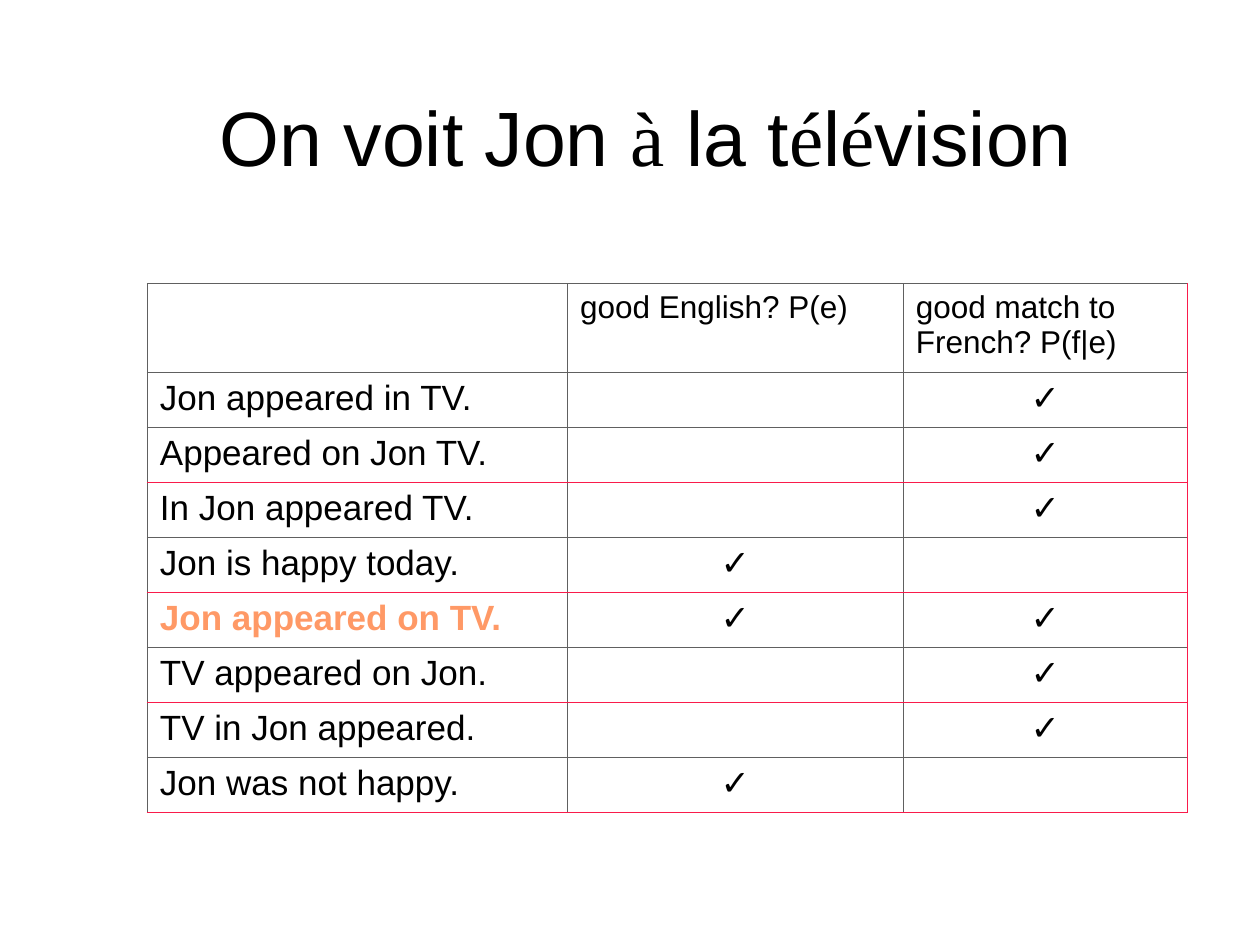
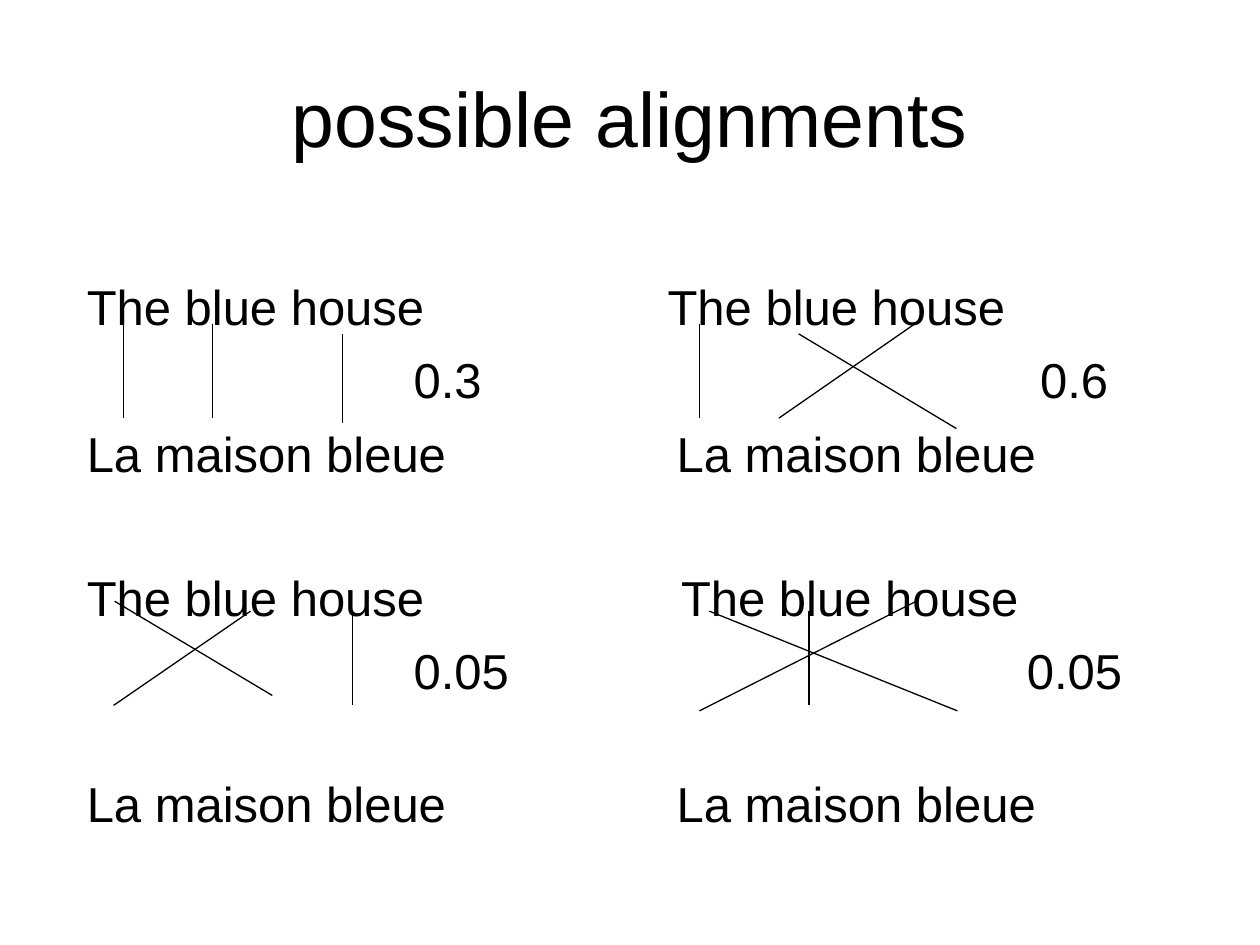
"""Build two slides on translation: candidate sentences and word alignments."""
from lxml import etree
from pptx import Presentation
from pptx.dml.color import RGBColor
from pptx.enum.shapes import MSO_CONNECTOR
from pptx.enum.text import MSO_ANCHOR, PP_ALIGN
from pptx.oxml.ns import qn
from pptx.util import Cm, Pt

LINE = MSO_CONNECTOR.STRAIGHT
MIDDLE = MSO_ANCHOR.MIDDLE
CENTER = PP_ALIGN.CENTER
LEFT = PP_ALIGN.LEFT
BLACK = RGBColor(0x00, 0x00, 0x00)
GREY = RGBColor(0x60, 0x60, 0x60)
RED = RGBColor(0xF9, 0x1B, 0x4B)
ORANGE = RGBColor(0xFF, 0x99, 0x66)
SANS = "Arial"
SERIF = "Times New Roman"


def add_run(para, text, size, font=SANS, color=BLACK, bold=False):
    run = para.add_run()
    run.text = text
    run.font.name = font
    run.font.size = Pt(size)
    run.font.bold = bold
    run.font.color.rgb = color


def add_title(slide, box, parts):
    frame = slide.shapes.add_textbox(*[Cm(n) for n in box]).text_frame
    frame.word_wrap = True
    frame.vertical_anchor = MIDDLE
    para = frame.paragraphs[0]
    para.alignment = CENTER
    for text, font in parts:
        add_run(para, text, 44, font)


deck = Presentation()
deck.slide_width = Cm(25.4)
deck.slide_height = Cm(19.05)
blank = deck.slide_layouts[6]

slide = deck.slides.add_slide(blank)
add_title(slide, (2.34, 1.47, 21.79, 2.54), [
    ("On voit Jon ", SANS), ("à", SERIF), (" la t", SANS), ("é", SERIF),
    ("l", SANS), ("é", SERIF), ("vision ", SANS)])

BEST = "Jon appeared on TV."
rows = [
    ("", "good English? P(e)", "good match to French? P(f|e)"),
    ("Jon appeared in TV.", "", "✓"),
    ("Appeared on Jon TV.", "", "✓"),
    ("In Jon appeared TV.", "", "✓"),
    ("Jon is happy today.", "✓", ""),
    (BEST, "✓", "✓"),
    ("TV appeared on Jon.", "", "✓"),
    ("TV in Jon appeared.", "", "✓"),
    ("Jon was not happy.", "✓", ""),
]
frame = slide.shapes.add_table(len(rows), 3, Cm(2.97), Cm(5.72), Cm(20.96), Cm(10.67))
table = frame.table
table.first_row = False
table.horz_banding = False
for col, width in zip(table.columns, (8.47, 6.77, 5.72)):
    col.width = Cm(width)
RED_ROWS = (3, 5, 7, 9)
RED_COLS = (3,)
for r, row in enumerate(rows):
    table.rows[r].height = Cm(1.78 if r == 0 else 1.11)
    for c, text in enumerate(row):
        cell = table.cell(r, c)
        cell.fill.background()
        props = cell._tc.get_or_add_tcPr()
        edges = (("a:lnL", c in RED_COLS), ("a:lnR", c + 1 in RED_COLS),
                 ("a:lnT", r in RED_ROWS), ("a:lnB", r + 1 in RED_ROWS))
        for spot, (tag, red) in enumerate(edges):
            edge = etree.Element(qn(tag), w=str(Pt(0.45)))
            fill = etree.SubElement(edge, qn("a:solidFill"))
            etree.SubElement(fill, qn("a:srgbClr"), val=str(RED if red else GREY))
            props.insert(spot, edge)
        if text:
            para = cell.text_frame.paragraphs[0]
            para.alignment = CENTER if text == "✓" else LEFT
            best = text == BEST
            add_run(para, text, 20 if r else 18, SANS, ORANGE if best else BLACK, best)

slide = deck.slides.add_slide(blank)
add_title(slide, (1.27, 0.76, 22.86, 3.18), [("possible alignments", SANS)])

ENGLISH = "The blue house"
FRENCH = "La maison bleue"
lines = [
    (0, [(0, ENGLISH), (11.71, ENGLISH)]),
    (8.4, [(6.59, "0.3"), (19.22, "0.6")]),
    (8.4, [(0, FRENCH), (11.89, FRENCH)]),
    (48.9, [(0, ENGLISH), (11.98, ENGLISH)]),
    (8.4, [(6.59, "0.05"), (18.95, "0.05")]),
    (42, [(0, FRENCH), (11.89, FRENCH)]),
]
frame = slide.shapes.add_textbox(Cm(1.5), Cm(5.44), Cm(22.86), Cm(12.57)).text_frame
frame.word_wrap = True
for n, (gap, parts) in enumerate(lines):
    para = frame.add_paragraph() if n else frame.paragraphs[0]
    stops = etree.SubElement(para._p.get_or_add_pPr(), qn("a:tabLst"))
    para.space_before = Pt(gap)
    for left, text in parts:
        if left:
            etree.SubElement(stops, qn("a:tab"), pos=str(Cm(left)), algn="l")
            text = "\t" + text
        add_run(para, text, 28)

links = [
    (2.49, 6.53, 2.49, 8.43), (4.29, 6.53, 4.29, 8.43), (6.91, 6.73, 6.91, 8.53),
    (14.1, 6.53, 14.1, 8.43), (16.1, 6.73, 19.28, 8.64), (18.44, 6.53, 15.7, 8.43),
    (2.31, 12.12, 5.49, 14.02), (5.05, 12.32, 2.29, 14.22), (7.11, 12.32, 7.11, 14.22),
    (14.3, 12.32, 19.3, 14.33), (16.31, 12.32, 16.31, 14.22), (18.47, 12.12, 14.1, 14.33),
]
for ends in links:
    link = slide.shapes.add_connector(LINE, *[Cm(n) for n in ends])
    link.line.color.rgb = BLACK
    link.line.width = Pt(0.75)
    etree.SubElement(link._element.spPr, qn("a:effectLst"))

deck.save("out.pptx")
